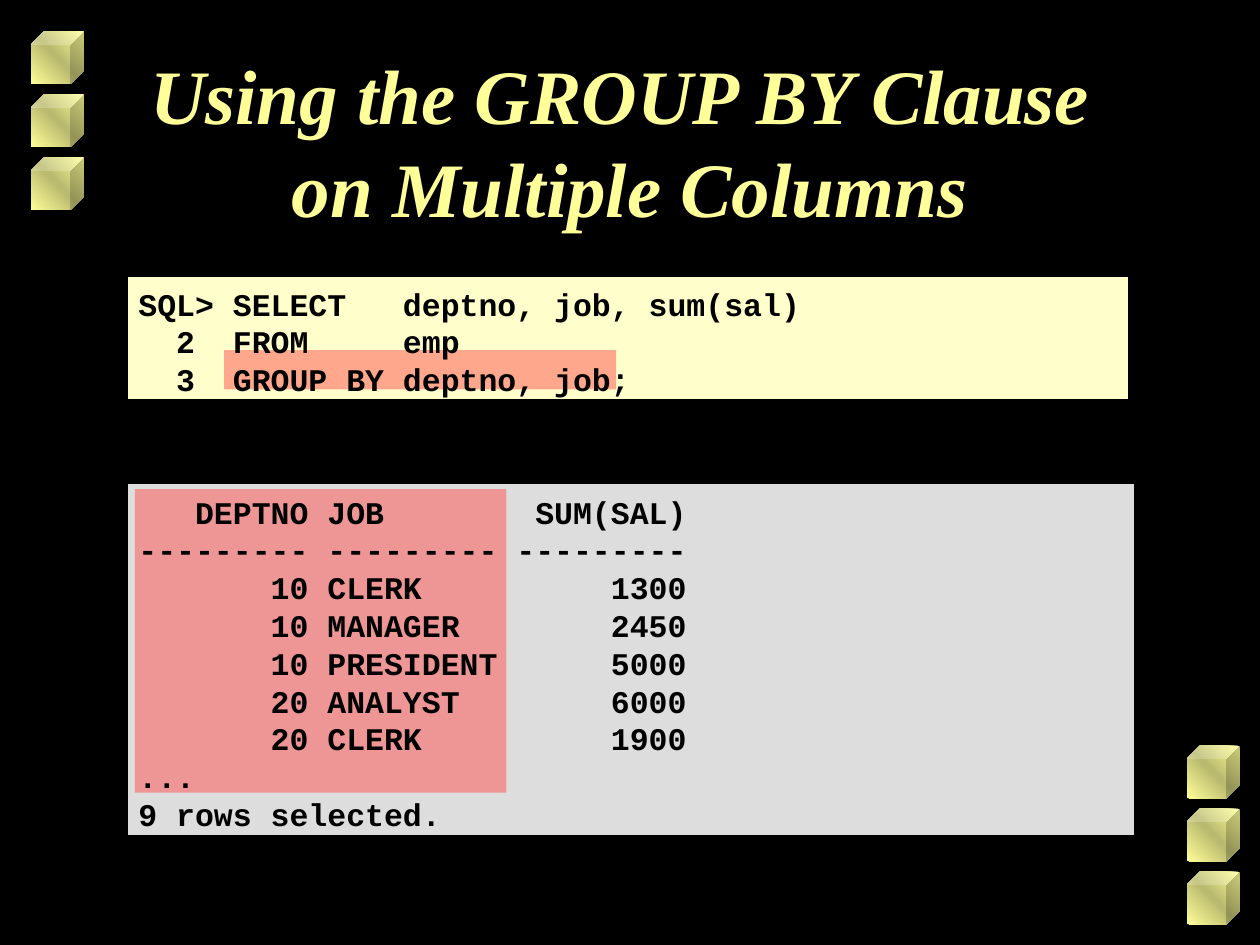
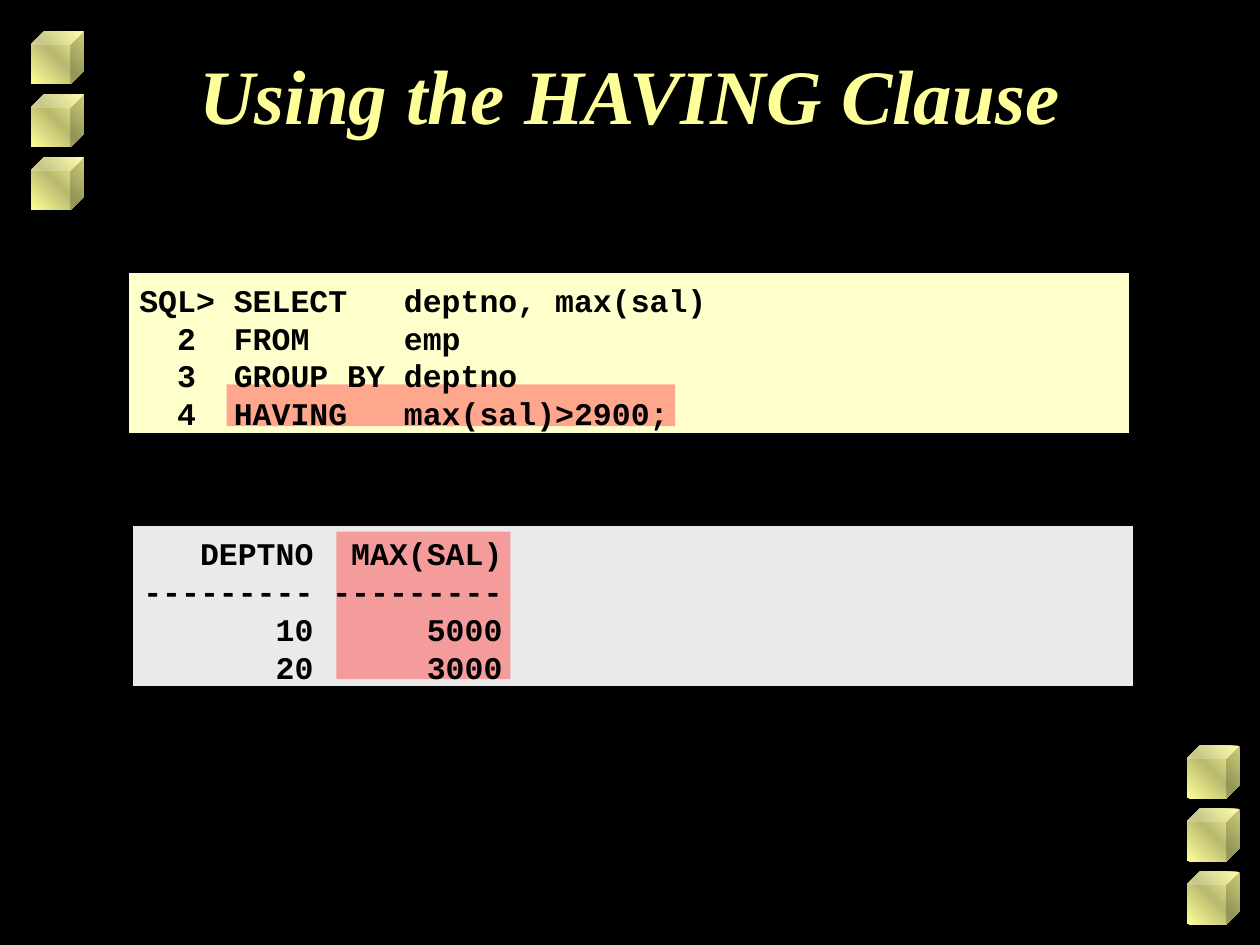
from dataclasses import dataclass

from lxml import etree
from pptx import Presentation
from pptx.dml.color import RGBColor
from pptx.enum.shapes import MSO_SHAPE
from pptx.enum.text import MSO_ANCHOR, MSO_AUTO_SIZE, PP_ALIGN
from pptx.oxml import parse_xml
from pptx.oxml.ns import nsdecls, qn
from pptx.util import Cm, Pt

CUBE, RECTANGLE = MSO_SHAPE.CUBE, MSO_SHAPE.RECTANGLE
TOP = MSO_ANCHOR.TOP
CENTER = PP_ALIGN.CENTER
NO_AUTOFIT = MSO_AUTO_SIZE.NONE
TITLE_ONLY = 5


@dataclass(frozen=True)
class Theme:
    background: str = "000000"
    accent: str = "FFFF99"
    accent_shade: str = "B9B96F"
    query_fill: str = "FFFFCC"
    long_result_fill: str = "DDDDDD"
    short_result_fill: str = "EAEAEA"
    highlight: str = "FF5050"
    highlight_alpha: int = 50
    code_color: str = "000000"
    title_font: str = "Times New Roman"
    title_size: float = 44
    code_font: str = "Courier New"
    code_size: float = 18
    code_leading: float = 21.6


THEME = Theme()


@dataclass(frozen=True)
class Box:
    """A rectangle in centimetres."""
    left: float
    top: float
    width: float
    height: float

    def inside(self, parent):
        return Box(parent.left + self.left, parent.top + self.top, self.width, self.height)

    def lengths(self):
        return Cm(self.left), Cm(self.top), Cm(self.width), Cm(self.height)


@dataclass(frozen=True)
class Panel:
    """A code block; its highlight is placed relative to its box."""
    box: Box
    fill: str
    highlight: Box
    lines: list


TITLE_BOX = Box(1.9, 0.84, 21.6, 3.18)
CUBE_SIZE, CUBE_STEP, CUBE_COUNT = 1.06, 1.27, 3
CUBE_COLUMNS = [(0.63, 0.63), (23.93, 15.03)]


def query_lines(*clauses):
    """Number the clauses as the SQL prompt does."""
    prompts = ["SQL>"] + [f"{number:>3} " for number in range(2, len(clauses) + 1)]
    return [f"{prompt} {keyword:<8} {rest}" for prompt, (keyword, rest) in zip(prompts, clauses)]


def result_lines(header, rows, aligns):
    """Set the rows in columns nine characters wide under a dashed rule."""
    table = [header, ["-" * 9] * len(header), *rows]
    return [" ".join(f"{cell:{align}9}" for cell, align in zip(row, aligns)) for row in table]


SLIDES = [
    ("Using the GROUP BY Clause \von Multiple Columns", [
        Panel(Box(2.54, 5.54, 20.24, 2.54), THEME.query_fill, Box(1.98, 1.52, 7.9, 0.79),
              query_lines(("SELECT", "deptno, job, sum(sal)"), ("FROM", "emp"),
                          ("GROUP BY", "deptno, job;"))),
        Panel(Box(2.54, 9.73, 20.35, 7.14), THEME.long_result_fill, Box(0.18, 0.13, 7.49, 6.12),
              result_lines(["DEPTNO", "JOB", "SUM(SAL)"],
                           [(10, "CLERK", 1300), (10, "MANAGER", 2450),
                            (10, "PRESIDENT", 5000), (20, "ANALYST", 6000),
                            (20, "CLERK", 1900)], "><>")
              + ["...", "9 rows selected."]),
    ]),
    ("Using the HAVING Clause", [
        Panel(Box(2.56, 5.46, 20.24, 3.3), THEME.query_fill, Box(2.01, 2.29, 9.04, 0.84),
              query_lines(("SELECT", "deptno, max(sal)"), ("FROM", "emp"),
                          ("GROUP BY", "deptno"), ("HAVING", "max(sal)>2900;"))),
        Panel(Box(2.64, 10.57, 20.24, 3.3), THEME.short_result_fill, Box(4.14, 0.15, 3.51, 2.97),
              result_lines(["DEPTNO", "MAX(SAL)"], [(10, 5000), (20, 3000)], ">>")),
    ]),
]


def style_run(run, font, size, color, italic=False):
    run.font.name = font
    run.font.size = Pt(size)
    run.font.bold = True
    run.font.italic = italic
    run.font.color.rgb = RGBColor.from_string(color)


def add_filled_shape(page, kind, box, color):
    shape = page.shapes.add_shape(kind, *box.lengths())
    shape.shadow.inherit = False
    shape.fill.solid()
    shape.fill.fore_color.rgb = RGBColor.from_string(color)
    shape.line.fill.background()
    return shape


def apply_cube_gradient(cube):
    stops = [(0, THEME.accent), (50, THEME.accent_shade), (100, THEME.accent)]
    stop_xml = "".join(f'<a:gs pos="{place * 1000}"><a:srgbClr val="{color}"/></a:gs>'
                       for place, color in stops)
    gradient = parse_xml(f'<a:gradFill {nsdecls("a")} rotWithShape="0"><a:gsLst>{stop_xml}'
                         f'</a:gsLst><a:lin ang="{315 * 60000}" scaled="1"/></a:gradFill>')
    solid = cube.element.spPr.find(qn("a:solidFill"))
    solid.getparent().replace(solid, gradient)


def move_cubes_to_layout(page, layout):
    """Build the corner cubes on the page, then hand them to its layout."""
    tree = layout.shapes.element
    for column, (left, top) in enumerate(CUBE_COLUMNS):
        for row in range(CUBE_COUNT):
            box = Box(left, top + row * CUBE_STEP, CUBE_SIZE, CUBE_SIZE)
            cube = add_filled_shape(page, CUBE, box, THEME.accent)
            cube.adjustments[0] = 0.25
            apply_cube_gradient(cube)
            cube.element.nvSpPr.cNvPr.set("id", str(100 + column * CUBE_COUNT + row))
            tree.insert(2 + column * CUBE_COUNT + row, cube.element)


def add_title(page, text):
    title = page.shapes.title
    title.left, title.top, title.width, title.height = TITLE_BOX.lengths()
    frame = title.text_frame
    frame.auto_size = NO_AUTOFIT
    frame.vertical_anchor = TOP
    para = frame.paragraphs[0]
    para.alignment = CENTER
    for index, line in enumerate(text.split("\v")):
        if index:
            para.add_line_break()
        span = para.add_run()
        span.text = line
        style_run(span, THEME.title_font, THEME.title_size, THEME.accent, italic=True)


def add_highlight(page, box):
    shape = add_filled_shape(page, RECTANGLE, box, THEME.highlight)
    color = shape.element.spPr.find(qn("a:solidFill"))[0]
    etree.SubElement(color, qn("a:alpha")).set("val", str(THEME.highlight_alpha * 1000))


def add_code(page, box, lines):
    frame = page.shapes.add_textbox(*box.lengths()).text_frame
    frame.word_wrap = True
    frame.vertical_anchor = TOP
    frame.margin_top = Cm(0.2)
    for index, line in enumerate(lines):
        para = frame.add_paragraph() if index else frame.paragraphs[0]
        para.line_spacing = Pt(THEME.code_leading)
        span = para.add_run()
        span.text = line.rstrip()
        style_run(span, THEME.code_font, THEME.code_size, THEME.code_color)


def add_panel(page, panel):
    card = add_filled_shape(page, RECTANGLE, panel.box, panel.fill)
    card.line.color.rgb = RGBColor.from_string(THEME.background)
    card.line.width = Pt(2)
    add_highlight(page, panel.highlight.inside(panel.box))
    add_code(page, panel.box, panel.lines)


def main():
    deck = Presentation()
    deck.slide_width, deck.slide_height = Cm(25.4), Cm(19.05)
    background = deck.slide_master.background.fill
    background.solid()
    background.fore_color.rgb = RGBColor.from_string(THEME.background)
    layout = deck.slide_layouts[TITLE_ONLY]
    for index, (title, panels) in enumerate(SLIDES):
        page = deck.slides.add_slide(layout)
        if index == 0:
            move_cubes_to_layout(page, layout)
        add_title(page, title)
        for panel in panels:
            add_panel(page, panel)
    deck.save("out.pptx")


if __name__ == "__main__":
    main()
